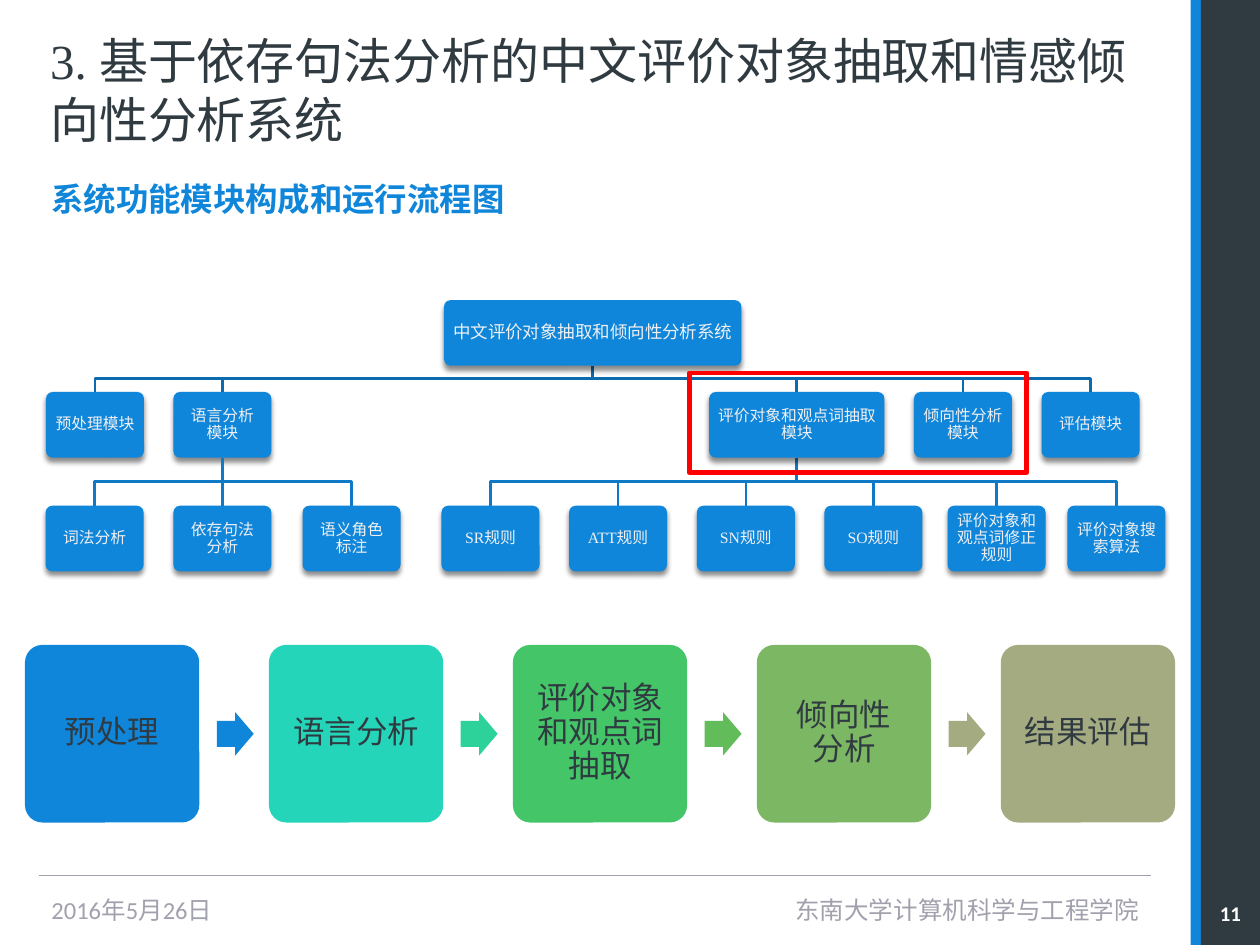
from lxml import etree
from pptx import Presentation
from pptx.dml.color import RGBColor
from pptx.enum.shapes import MSO_CONNECTOR, MSO_SHAPE
from pptx.enum.text import MSO_ANCHOR, PP_ALIGN
from pptx.oxml.ns import qn
from pptx.util import Pt

RECT, ROUND, ARROW = MSO_SHAPE.RECTANGLE, MSO_SHAPE.ROUNDED_RECTANGLE, MSO_SHAPE.RIGHT_ARROW
STRAIGHT = MSO_CONNECTOR.STRAIGHT
LEFT, CENTER, RIGHT = PP_ALIGN.LEFT, PP_ALIGN.CENTER, PP_ALIGN.RIGHT
TOP, MIDDLE = MSO_ANCHOR.TOP, MSO_ANCHOR.MIDDLE
SANS, SERIF = "Calibri", "Times New Roman"

COLORS = {
    "blue": "0F86DA", "dark": "303B41", "gray": "A1A1AD", "white": "FFFFFF",
    "pale": "F0F0F2", "red": "FF0000", "branch": "0C6BAF", "twig": "0E7AC6",
    "teal": "25D5BA", "mint": "2DD29A", "green": "44C668", "leaf": "63BC5A",
    "olive": "7CB764", "khaki": "A5AB81", "black": "000000",
}

NODE_W, NODE_H = 56, 37.5
ROOT_TOP, MODULE_TOP, LEAF_TOP = 171.5, 224, 289

MODULES = [
    (54.3, NODE_W, "预处理模块", []),
    (127.1, NODE_W, "语言分析\n模块", [
        (54.1, "词法分析", SANS), (127.1, "依存句法\n分析", SANS),
        (200.9, "语义角色\n标注", SANS)]),
    (455.3, 100.2, "评价对象和观点词抽取模块", [
        (280.3, "SR规则", SERIF), (353.2, "ATT规则", SERIF),
        (426.2, "SN规则", SERIF), (499.1, "SO规则", SERIF),
        (569.5, "评价对象和观点词修正规则", SERIF),
        (638, "评价对象搜索算法", SERIF)]),
    (550.3, NODE_W, "倾向性分析模块", []),
    (623.2, NODE_W, "评估模块", []),
]

STEPS = [("预处理", "blue", "blue"), ("语言分析", "teal", "mint"),
         ("评价对象和观点词抽取", "green", "leaf"),
         ("倾向性\n分析", "olive", "khaki"), ("结果评估", "khaki", None)]
STEPS[3:4] = [("倾向性\n分析", "olive", "khaki")]


class Deck:
    def __init__(self, prs):
        self.s = prs.slides.add_slide(prs.slide_layouts[6])

    def rgb(self, name):
        return RGBColor.from_string(COLORS[name])

    def label(self, sp, text, size, color, font=SANS, bold=False, align=CENTER,
              anchor=MIDDLE, inset=(7.2, 3.6), spacing=None, before=0):
        tf = sp.text_frame
        tf.word_wrap = True
        tf.vertical_anchor = anchor
        tf.margin_left = tf.margin_right = Pt(inset[0])
        tf.margin_top = tf.margin_bottom = Pt(inset[1])
        p = tf.paragraphs[0]
        p.alignment = align
        p.space_before = Pt(before)
        if spacing:
            p.line_spacing = spacing
        for i, line in enumerate(text.split("\n")):
            if i:
                p.add_line_break()
            r = p.add_run()
            r.text = line
            r.font.size = Pt(size)
            r.font.name = font
            r.font.bold = bold
            r.font.color.rgb = self.rgb(color)

    def text(self, x, y, w, h, text, size, color, **style):
        sp = self.s.shapes.add_textbox(Pt(x), Pt(y), Pt(w), Pt(h))
        self.label(sp, text, size, color, **style)

    def shape(self, kind, x, y, w, h, fill=None, line=None, width=1, adjust=()):
        sp = self.s.shapes.add_shape(kind, Pt(x), Pt(y), Pt(w), Pt(h))
        sp.shadow.inherit = False
        for i, value in enumerate(adjust):
            sp.adjustments[i] = value
        if fill:
            sp.fill.solid()
            sp.fill.fore_color.rgb = self.rgb(fill)
        else:
            sp.fill.background()
        if line:
            sp.line.color.rgb = self.rgb(line)
            sp.line.width = Pt(width)
        else:
            sp.line.fill.background()
        return sp

    def node(self, cx, top, w, text, size=9, font=SANS):
        sp = self.shape(ROUND, cx - w / 2, top, w, NODE_H, "blue", adjust=[0.1])
        effects = sp._element.spPr.find(qn("a:effectLst"))
        shadow = etree.SubElement(effects, qn("a:outerShdw"), blurRad=str(Pt(3)),
                                  dist=str(Pt(2.4)), dir="5400000", rotWithShape="0")
        color = etree.SubElement(shadow, qn("a:srgbClr"), val=COLORS["black"])
        etree.SubElement(color, qn("a:alpha"), val="45000")
        self.label(sp, text, size, "pale", font, inset=(4, 4), spacing=0.9)
        return sp

    def line(self, x1, y1, x2, y2, color, width, begin=None, end=None):
        cn = self.s.shapes.add_connector(STRAIGHT, Pt(x1), Pt(y1), Pt(x2), Pt(y2))
        cn.line.color.rgb = self.rgb(color)
        cn.line.width = Pt(width)
        etree.SubElement(cn._element.spPr, qn("a:effectLst"))
        if begin:
            cn.begin_connect(begin, 2)
        if end:
            cn.end_connect(end, 0)

    def elbow(self, x1, y1, x2, y2, bend, color):
        points = [(x1, bend), (x2, bend), (x2, y2)]
        fb = self.s.shapes.build_freeform(Pt(x1), Pt(y1))
        fb.add_line_segments([(Pt(x), Pt(y)) for x, y in points], close=False)
        sp = fb.convert_to_shape()
        sp.shadow.inherit = False
        sp.fill.background()
        sp.line.color.rgb = self.rgb(color)
        sp.line.width = Pt(1.5)

    def tree(self):
        root_x = 338.7
        root_end, module_end = ROOT_TOP + NODE_H, MODULE_TOP + NODE_H
        for x, w, name, leaves in MODULES:
            self.elbow(root_x, root_end, x, MODULE_TOP, 216.3, "branch")
            for leaf_x, leaf_name, font in leaves:
                if leaf_x != x:
                    self.elbow(x, module_end, leaf_x, LEAF_TOP, 275.2, "twig")
        self.node(root_x, ROOT_TOP, 170, "中文评价对象抽取和倾向性分析系统", 10)
        for x, w, name, leaves in MODULES:
            module = self.node(x, MODULE_TOP, w, name)
            for leaf_x, leaf_name, font in leaves:
                leaf = self.node(leaf_x, LEAF_TOP, NODE_W, leaf_name, font=font)
                if leaf_x == x:
                    self.line(x, module_end, x, LEAF_TOP, "twig", 1.5, module, leaf)

    def flow(self):
        for i, (name, fill, arrow) in enumerate(STEPS):
            x = 14.3 + 139.4 * i
            sp = self.shape(ROUND, x, 368.5, 99.6, 101.5, fill, adjust=[0.1])
            self.label(sp, name, 18, "dark", inset=(8, 8), spacing=0.9)
            if arrow:
                self.shape(ARROW, x + 109.6, 407, 21.1, 24.7, arrow, adjust=[0.6, 0.5])


def main():
    prs = Presentation()
    prs.slide_width, prs.slide_height = Pt(720), Pt(540)
    d = Deck(prs)
    d.shape(RECT, 680.4, 0, 39.6, 540, "blue")
    d.shape(RECT, 686.2, 0, 33.8, 540, "dark")
    d.line(22.3, 500.4, 658, 500.4, "gray", 0.79)
    d.text(22.3, 505.4, 140.4, 28.8, "2016年5月26日", 14, "gray", align=LEFT)
    d.text(21.6, 12.2, 642.2, 77.8, "3. 基于依存句法分析的中文评价对象抽取和情感倾向性分析系统",
           28, "dark", font=SERIF, align=LEFT)
    d.text(231.1, 505.4, 427, 28.8, "东南大学计算机科学与工程学院", 14, "gray", align=RIGHT)
    d.text(686.2, 511.9, 33.8, 19.4, "11", 11.9, "white", bold=True)
    d.text(22.3, 98.6, 641.5, 28.1, "系统功能模块构成和运行流程图", 18.5, "blue",
           bold=True, align=LEFT, anchor=TOP, before=7)
    d.flow()
    d.tree()
    d.shape(RECT, 393.8, 213.1, 193, 56.9, line="red", width=2.75)
    prs.save("out.pptx")


if __name__ == "__main__":
    main()
